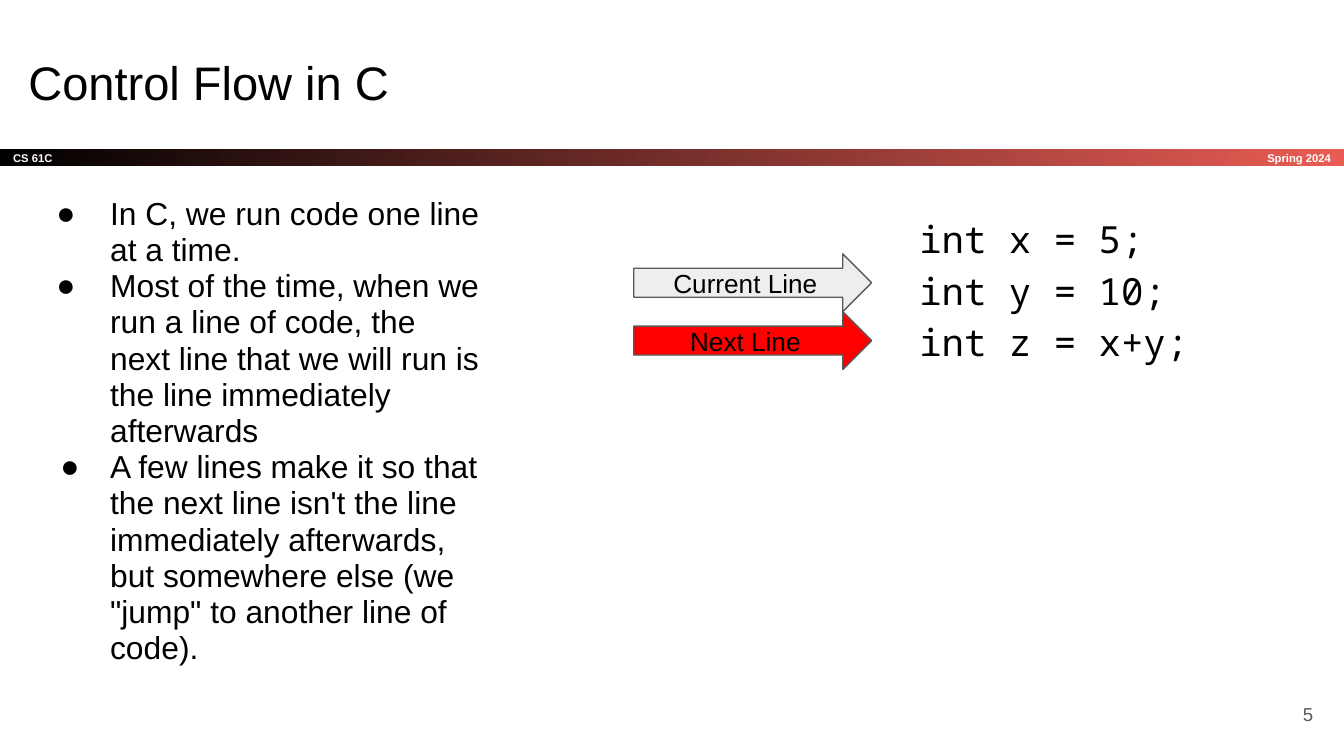
"""Build the Control Flow in C slide."""
from copy import deepcopy

from lxml import etree
from pptx import Presentation
from pptx.dml.color import RGBColor
from pptx.enum import shapes, text
from pptx.oxml import ns
from pptx.util import Pt

BLACK = RGBColor(0x00, 0x00, 0x00)
WHITE = RGBColor(0xFF, 0xFF, 0xFF)
CORAL = RGBColor(0xE8, 0x5C, 0x54)
GRAY = RGBColor(0x59, 0x59, 0x59)
PALE = RGBColor(0xEE, 0xEE, 0xEE)
RED = RGBColor(0xFF, 0x00, 0x00)
SANS = "Arial"
MONO = "Noto Sans Mono"
LEFT, CENTER, RIGHT = text.PP_ALIGN.LEFT, text.PP_ALIGN.CENTER, text.PP_ALIGN.RIGHT
TOP, MIDDLE = text.MSO_ANCHOR.TOP, text.MSO_ANCHOR.MIDDLE
POINTS = [
    ("In C, we run code one line at a time.", 28.8),
    ("Most of the time, when we run a line of code, the next line that we will run is "
     "the line immediately afterwards", 28.8),
    ("A few lines make it so that the next line isn't the line immediately afterwards, "
     "but somewhere else (we \"jump\" to another line of code).", 26.6),
]
CODE = "int x = 5;\vint y = 10;\vint z = x+y;"


def place(shape, left, top, width, height):
    """Move a shape to a box given in points."""
    shape.left, shape.top = Pt(left), Pt(top)
    shape.width, shape.height = Pt(width), Pt(height)


def prepare(shape, anchor=TOP):
    """Set wrapping, insets and anchor of a shape's text, and return its frame."""
    frame = shape.text_frame
    frame.word_wrap = True
    frame.auto_size = text.MSO_AUTO_SIZE.NONE
    frame.vertical_anchor = anchor
    frame.margin_left = frame.margin_right = Pt(7.2)
    frame.margin_top = frame.margin_bottom = Pt(7.2)
    return frame


def set_bullet(para, margin=0, hanging=0, mark=None):
    """Give a paragraph its indent and its bullet, or no bullet."""
    props = para._p.get_or_add_pPr()
    props.set("marL", str(Pt(margin)))
    props.set("indent", str(-Pt(hanging)))
    if mark is None:
        etree.SubElement(props, ns.qn("a:buNone"))
        return
    color = etree.SubElement(props, ns.qn("a:buClr"))
    etree.SubElement(color, ns.qn("a:srgbClr"), val=str(BLACK))
    etree.SubElement(props, ns.qn("a:buFont"), typeface=SANS)
    etree.SubElement(props, ns.qn("a:buChar"), char=mark)


def write(para, words, size, color=BLACK, font=SANS, bold=False, align=LEFT,
          spacing=1.0, after=0):
    """Write text into a paragraph with one format."""
    para.text = words
    para.alignment = align
    para.line_spacing = spacing
    para.space_before, para.space_after = Pt(0), Pt(after)
    for span in para.runs:
        span.font.size, span.font.name = Pt(size), font
        span.font.bold = bold
        span.font.color.rgb = color
    for line_break in para._p.findall(ns.qn("a:br")):
        line_break.insert(0, deepcopy(para.runs[0]._r.rPr))


def add_label(page, box, words, size, **style):
    """Add a middle-anchored text box."""
    label = page.shapes.add_textbox(*map(Pt, box))
    write(prepare(label, MIDDLE).paragraphs[0], words, size, **style)


def add_band(page, left, top, width, height):
    """Add the gradient band with the course and the term."""
    band = page.shapes.add_shape(
        shapes.MSO_SHAPE.RECTANGLE, Pt(left), Pt(top), Pt(width), Pt(height))
    band.shadow.inherit = False
    band.line.fill.background()
    band.fill.gradient()
    band.fill.gradient_angle = 0
    for stop, color, position in zip(band.fill.gradient_stops, (BLACK, CORAL), (0, 1)):
        stop.color.rgb, stop.position = color, position
    write(prepare(band, MIDDLE).paragraphs[0], "CS 61C", 6, color=WHITE, bold=True)
    term_width = 120
    add_label(page, (left + width - term_width, top, term_width, height),
              "Spring 2024", 6, color=WHITE, bold=True, align=RIGHT)


def fill_title(title, box):
    """Place the slide title."""
    place(title, *box)
    write(prepare(title).paragraphs[0], "Control Flow in C", 25.2)


def fill_points(body, box):
    """Place the bulleted list."""
    place(body, *box)
    frame = prepare(body)
    for index, (words, hanging) in enumerate(POINTS):
        para = frame.add_paragraph() if index else frame.paragraphs[0]
        set_bullet(para, 36, hanging, "●")
        write(para, words, 17, spacing=0.95)


def fill_code(body, box):
    """Place the code listing."""
    place(body, *box)
    para = prepare(body).paragraphs[0]
    set_bullet(para)
    write(para, CODE, 20, font=MONO, spacing=1.15, after=12)


def add_arrows(page, left, top, width, height):
    """Stack the two line-pointer arrows in a box."""
    step = height / 2
    for row, (words, color) in enumerate([("Current Line", PALE), ("Next Line", RED)]):
        arrow = page.shapes.add_shape(
            shapes.MSO_SHAPE.RIGHT_ARROW,
            Pt(left), Pt(top + row * step), Pt(width), Pt(step))
        arrow.shadow.inherit = False
        arrow.fill.solid()
        arrow.fill.fore_color.rgb = color
        arrow.line.color.rgb, arrow.line.width = GRAY, Pt(0.75)
        write(prepare(arrow, MIDDLE).paragraphs[0], words, 14, align=CENTER)


def main():
    """Build and save the deck."""
    deck = Presentation()
    deck.slide_width, deck.slide_height = Pt(720), Pt(405)
    page = deck.slides.add_slide(deck.slide_layouts.get_by_name("Two Content"))
    title, points, code = page.placeholders
    add_band(page, 0, 80, 720, 8.8)
    fill_title(title, (8, 21.6, 671, 45.4))
    fill_points(points, (15.8, 98, 249, 285))
    fill_code(code, (485.3, 105, 210, 268))
    add_arrows(page, 339.5, 136, 127.5, 62)
    add_label(page, (667.4, 367.2, 43.2, 31), "5", 10, color=GRAY, align=RIGHT)
    deck.save("out.pptx")


if __name__ == "__main__":
    main()
